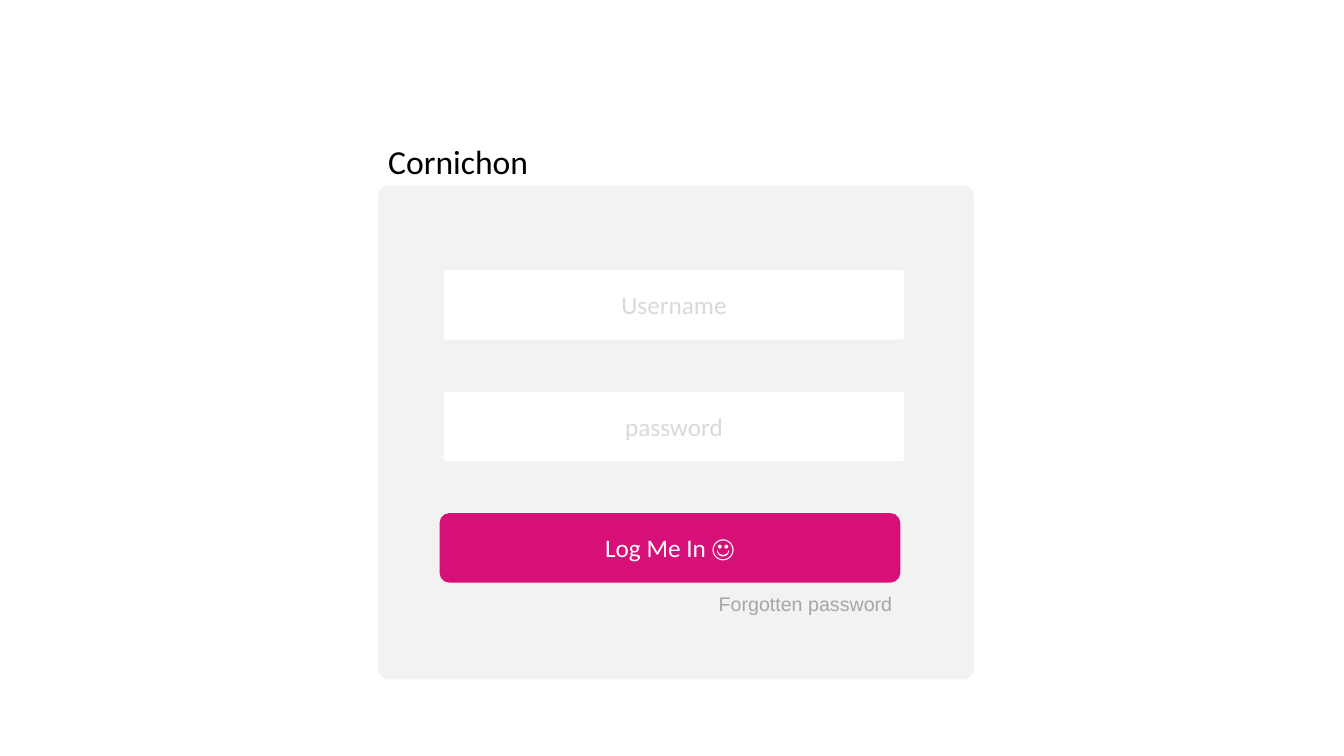
from pptx import Presentation
from pptx.dml.color import RGBColor
from pptx.enum.shapes import MSO_SHAPE
from pptx.enum.text import MSO_ANCHOR, MSO_AUTO_SIZE, PP_ALIGN
from pptx.util import Inches, Pt

ROUNDED = MSO_SHAPE.ROUNDED_RECTANGLE
LEFT, CENTER = PP_ALIGN.LEFT, PP_ALIGN.CENTER
TOP, MIDDLE = MSO_ANCHOR.TOP, MSO_ANCHOR.MIDDLE
GROW = MSO_AUTO_SIZE.SHAPE_TO_FIT_TEXT
TITLE_ONLY = 5


def add_panel(left, top, width, height, rounding, fill):
    panel = slide.shapes.add_shape(
        ROUNDED, Inches(left), Inches(top), Inches(width), Inches(height))
    panel.adjustments[0] = rounding
    panel.fill.solid()
    panel.fill.fore_color.rgb = RGBColor.from_string(fill)
    panel.line.fill.background()
    panel.shadow.inherit = False
    return panel


def write(frame, text, size, font, color, align, anchor):
    frame.text = text
    frame.vertical_anchor = anchor
    paragraph = frame.paragraphs[0]
    paragraph.alignment = align
    paragraph.font.size = Pt(size)
    paragraph.font.name = font
    paragraph.font.color.rgb = RGBColor.from_string(color)


prs = Presentation()
prs.slide_width, prs.slide_height = Inches(13.33), Inches(7.5)
slide = prs.slides.add_slide(prs.slide_layouts[TITLE_ONLY])

# Login card with two fields and a button at an equal pitch
add_panel(3.75, 1.84, 5.91, 4.9, 0.023, "F2F2F2")
controls = [
    ("Username", 4.4, 0.038, "FFFFFF", "D9D9D9"),
    ("password", 4.4, 0.038, "FFFFFF", "D9D9D9"),
    ("Log Me In ☺", 4.36, 0.141, "D61078", "FFFFFF"),
]
for row, (label, left, rounding, fill, color) in enumerate(controls):
    control = add_panel(left, 2.68 + row * 1.205, 4.57, 0.69, rounding, fill)
    write(control.text_frame, label, 18, "Calibri", color, CENTER, MIDDLE)

# App name above the card
app_name = slide.shapes.title
app_name.left, app_name.top = Inches(3.75), Inches(1.35)
app_name.width, app_name.height = Inches(1.6), Inches(0.5)
write(app_name.text_frame, "Cornichon", 24, "Calibri", "000000", LEFT, TOP)

# Password reminder below the button
reminder = slide.shapes.add_textbox(
    Inches(7.03), Inches(5.82), Inches(1.93), Inches(0.34))
write(reminder.text_frame, "Forgotten password", 14, "Arial", "A6A6A6", LEFT, TOP)

for label in (app_name, reminder):
    label.text_frame.word_wrap = False
    label.text_frame.auto_size = GROW

prs.save("out.pptx")
